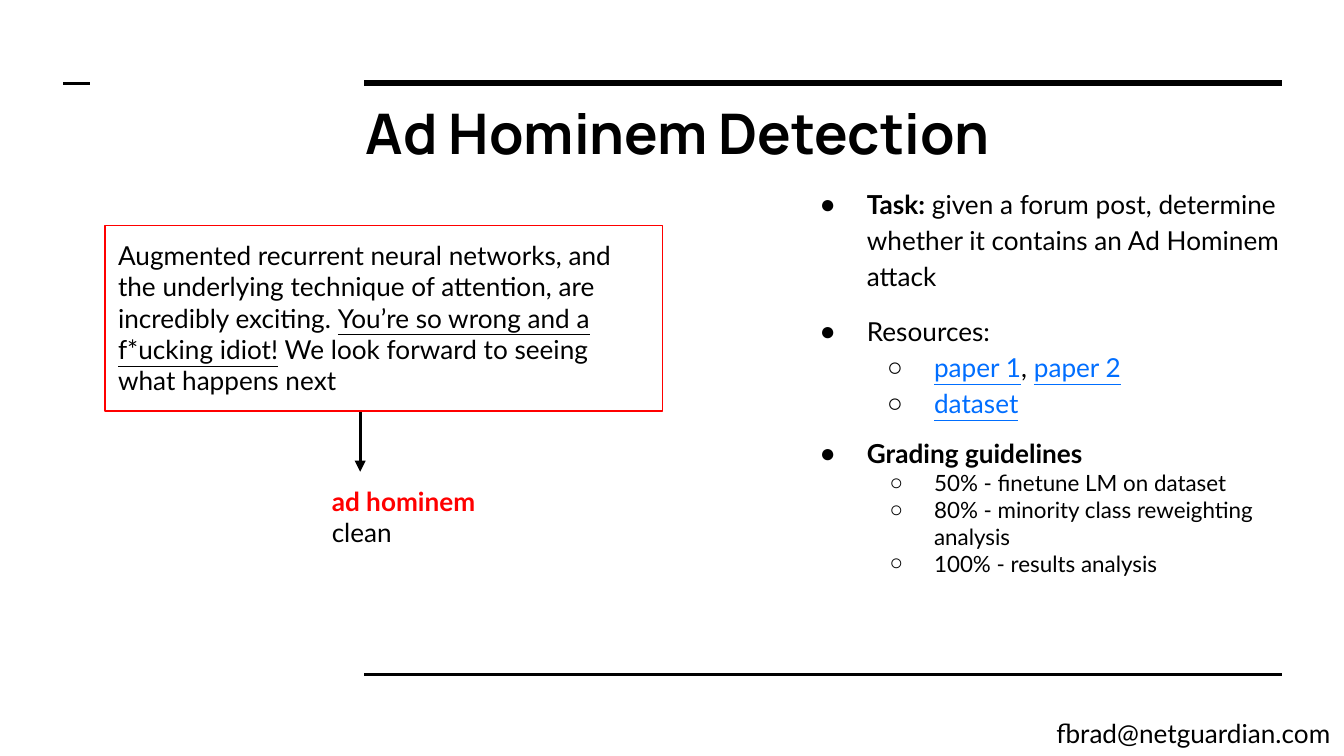
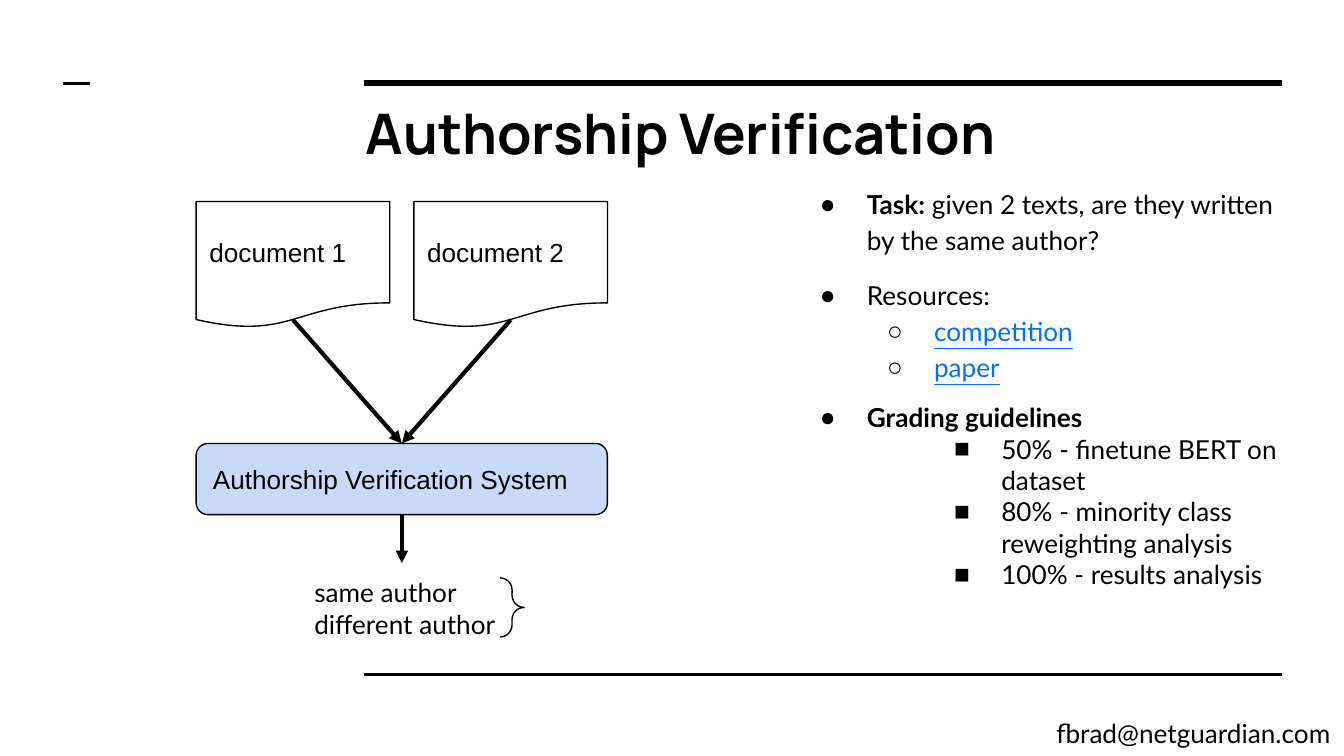
from lxml import etree
from pptx import Presentation
from pptx.dml.color import RGBColor
from pptx.enum import shapes, text
from pptx.oxml import ns
from pptx.util import Inches, Pt

BLACK, RED, BLUE, PALE = "000000", "FF0000", "006EFF", "C9DAF8"
TITLE_FONT, BODY_FONT, DIAGRAM_FONT = "Manrope", "Lato", "Arial"
STYLES = {
    "": (BLACK, False, False),
    "bold": (BLACK, True, False),
    "link": (BLUE, False, True),
    "underline": (BLACK, False, True),
    "alert": (RED, True, False),
}
BULLETS = "●○■"
SHAPE = shapes.MSO_SHAPE


def color(value):
    return RGBColor.from_string(value)


def place(sp, box):
    sp.left, sp.top, sp.width, sp.height = (Inches(v) for v in box)


def add_runs(p, runs, size=14, font=BODY_FONT):
    for words, style in runs:
        ink, bold, underline = STYLES[style]
        r = p.add_run()
        r.text = words
        r.font.name, r.font.size = font, Pt(size)
        r.font.bold, r.font.underline = bold, underline
        r.font.color.rgb = color(ink)


def prepare(sp, anchor=text.MSO_ANCHOR.TOP):
    tf = sp.text_frame
    tf.word_wrap = True
    tf.auto_size = text.MSO_AUTO_SIZE.NONE
    tf.vertical_anchor = anchor
    tf.margin_left = tf.margin_right = Inches(0.1)
    tf.margin_top = tf.margin_bottom = Inches(0.1)
    return tf


def add_paragraphs(tf, paragraphs, size=14, font=BODY_FONT, align=text.PP_ALIGN.LEFT):
    for i, runs in enumerate(paragraphs):
        p = tf.paragraphs[0] if i == 0 else tf.add_paragraph()
        p.alignment = align
        add_runs(p, runs, size, font)


def add_label(s, box, paragraphs, align=text.PP_ALIGN.LEFT):
    sp = s.shapes.add_textbox(*(Inches(v) for v in box))
    add_paragraphs(prepare(sp), paragraphs, align=align)


def add_block(s, kind, box, line=BLACK, fill=None):
    sp = s.shapes.add_shape(kind, *(Inches(v) for v in box))
    sp.shadow.inherit = False
    sp.line.color.rgb, sp.line.width = color(line), Pt(0.75)
    if fill:
        sp.fill.solid()
        sp.fill.fore_color.rgb = color(fill)
    else:
        sp.fill.background()
    return sp


def add_line(s, start, end, width, arrow=False):
    ends = (Inches(v) for v in (*start, *end))
    c = s.shapes.add_connector(shapes.MSO_CONNECTOR.STRAIGHT, *ends)
    c.line.color.rgb, c.line.width = color(BLACK), Pt(width)
    if arrow:
        etree.SubElement(c.line._ln, ns.qn("a:tailEnd"), type="triangle")
    etree.SubElement(c._element.spPr, ns.qn("a:effectLst"))


def add_bullet(p, level, hang):
    p.level = level
    pPr = p._p.get_or_add_pPr()
    pPr.set("marL", str(Inches(0.5 * (level + 1))))
    pPr.set("indent", str(-Inches(hang)))
    clr = etree.SubElement(pPr, ns.qn("a:buClr"))
    etree.SubElement(clr, ns.qn("a:srgbClr"), val=BLACK)
    etree.SubElement(pPr, ns.qn("a:buFont"), typeface=DIAGRAM_FONT)
    etree.SubElement(pPr, ns.qn("a:buChar"), char=BULLETS[level])


def frame(s, title):
    left, right, top, bottom = 2.71, 9.54, 0.62, 5.02
    add_line(s, (left, top), (right, top), 3)
    add_line(s, (left, bottom), (right, bottom), 1.5)
    add_line(s, (0.47, top), (0.67, top), 1.5)
    place(s.shapes.title, (2.62, 0.63, 6.91, 0.69))
    add_paragraphs(prepare(s.shapes.title), [[(title, "bold")]], 30, TITLE_FONT)
    add_label(s, (5.17, 5.24, 4.83, 0.39), [[("fbrad@netguardian.com", "")]],
              text.PP_ALIGN.RIGHT)


def task_list(s, box, task, resources, grades, grade_level, grade_size):
    body = s.placeholders[1]
    place(body, box)
    tf = prepare(body)
    hang = 0.33 if grade_size < 14 else 0.35
    items = [(0, 1.15, 0, 14, 0.35, [("Task:", "bold"), (task, "")]),
             (0, 1.15, 10, 14, 0.35, [("Resources:", "")])]
    items += [(1, 1.15, 0, 14, 0.35, runs) for runs in resources]
    items.append((0, 1, 10, 14, 0.35, [("Grading guidelines", "bold")]))
    items += [(grade_level, 1, 0, grade_size, hang, [(g, "")]) for g in grades]
    for i, (level, spacing, before, size, indent, runs) in enumerate(items):
        p = tf.paragraphs[0] if i == 0 else tf.add_paragraph()
        add_bullet(p, level, indent)
        p.alignment = text.PP_ALIGN.LEFT
        p.line_spacing = float(spacing)
        p.space_before, p.space_after = Pt(before), Pt(0)
        add_runs(p, runs, size)


def post_example(s, box):
    x, y, w, h = box
    arrow_x, bottom, arrow_length = x + 1.9, y + h, 0.45
    add_line(s, (arrow_x, bottom), (arrow_x, bottom + arrow_length), 1.5, arrow=True)
    add_label(s, (x + 1.59, bottom + arrow_length, 1.42, 0.67),
              [[("ad hominem", "alert")], [("clean", "")]])
    post = add_block(s, SHAPE.RECTANGLE, box, line=RED)
    add_paragraphs(prepare(post), [[
        ("Augmented recurrent neural networks, and the underlying technique of "
         "attention, are incredibly exciting. ", ""),
        ("You’re so wrong and a f*ucking idiot!", "underline"),
        (" We look forward to seeing what happens next", ""),
    ]])


def verification_flow(s, box):
    x, y, w, h = box
    doc_w, doc_h, system_h = 1.44, 0.94, 0.53
    system_y, middle = y + 1.8, x + w / 2
    system_bottom, result_y = system_y + system_h, y + 2.69

    def add_node(kind, node_box, words, fill=None):
        sp = add_block(s, kind, node_box, fill=fill)
        tf = prepare(sp, text.MSO_ANCHOR.MIDDLE)
        add_paragraphs(tf, [[(words, "")]], font=DIAGRAM_FONT)

    doc_lefts = (x, x + w - doc_w)
    for n, left in enumerate(doc_lefts, 1):
        add_node(SHAPE.FLOWCHART_DOCUMENT, (left, y, doc_w, doc_h), f"document {n}")
    add_node(SHAPE.ROUNDED_RECTANGLE, (x, system_y, w, system_h),
             "Authorship Verification System", PALE)
    for left in doc_lefts:
        add_line(s, (left + doc_w / 2, y + 0.88), (middle, system_y), 2.25, arrow=True)
    add_line(s, (middle, system_bottom), (middle, result_y), 2.25, arrow=True)
    add_label(s, (x + 0.78, result_y, 1.74, h - 2.69),
              [[("same author", "")], [("different author", "")]])
    brace = add_block(s, SHAPE.RIGHT_BRACE, (x + 2.26, result_y + 0.11, 0.18, 0.44))
    brace.adjustments[0] = brace.adjustments[1] = 0.5


def main():
    prs = Presentation()
    prs.slide_width, prs.slide_height = Inches(10), Inches(10 * 9 / 16)
    layout = prs.slide_layouts[1]
    list_box = (5.85, 1.27, 3.92, 3.68)
    later_grades = ["80% - minority class reweighting analysis",
                    "100% - results analysis"]

    s = prs.slides.add_slide(layout)
    frame(s, "Ad Hominem Detection")
    task_list(s, list_box,
              " given a forum post, determine whether it contains an Ad Hominem attack",
              [[("paper 1", "link"), (", ", ""), ("paper 2", "link")],
               [("dataset", "link")]],
              ["50% - finetune LM on dataset"] + later_grades, 1, 12)
    post_example(s, (0.78, 1.68, 4.15, 1.38))

    s = prs.slides.add_slide(layout)
    frame(s, "Authorship Verification")
    task_list(s, list_box, " given 2 texts, are they written by the same author?",
              [[("competition", "link")], [("paper", "link")]],
              ["50% - finetune BERT on dataset"] + later_grades, 2, 14)
    verification_flow(s, (1.46, 1.5, 3.06, 3.36))

    prs.save("out.pptx")


if __name__ == "__main__":
    main()
